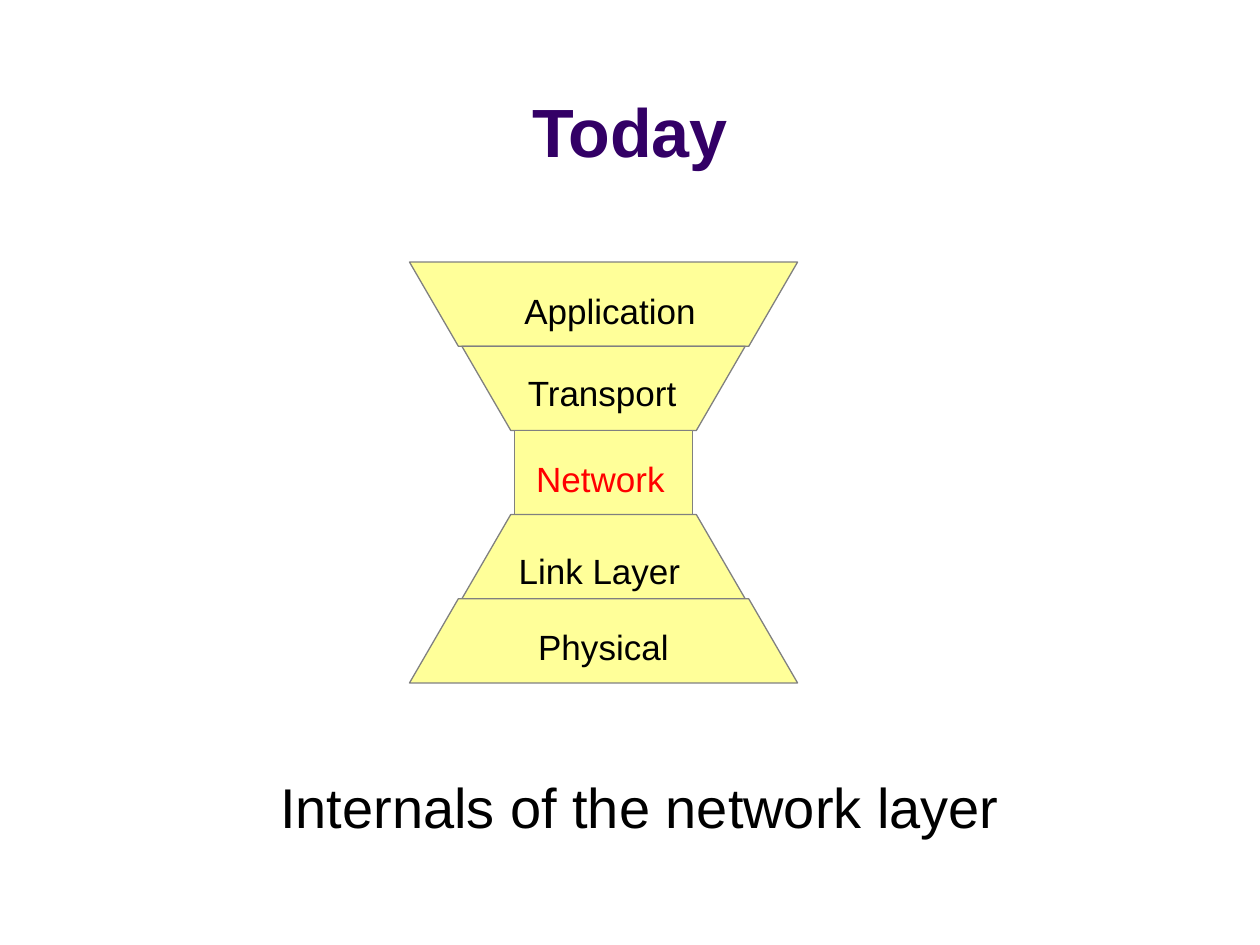
from collections import namedtuple

from pptx import Presentation
from pptx import util as u
from pptx.dml.color import RGBColor
from pptx.enum import shapes, text

PURPLE = RGBColor(0x33, 0x00, 0x66)
YELLOW = RGBColor(0xFF, 0xFF, 0x99)
GREY = RGBColor(0x80, 0x80, 0x80)
BLACK = RGBColor(0x00, 0x00, 0x00)
RED = RGBColor(0xFF, 0x00, 0x00)

TRAPEZOID = shapes.MSO_SHAPE.TRAPEZOID
RECTANGLE = shapes.MSO_SHAPE.RECTANGLE

Box = namedtuple("Box", "left top width height")
Layer = namedtuple("Layer", "name shape turn width color label_left label_top label_width")

LAYERS = [
    Layer("Application", TRAPEZOID, 180, 1, BLACK, 0.25, 0.25, 0.52),
    Layer("Transport", TRAPEZOID, 180, 0.73, BLACK, 0.25, 0.23, 0.47),
    Layer("Network", RECTANGLE, 0, 0.46, RED, 0.27, 0.25, 0.42),
    Layer("Link Layer", TRAPEZOID, 0, 0.73, BLACK, 0.23, 0.34, 0.5),
    Layer("Physical", TRAPEZOID, 0, 1, BLACK, 0.27, 0.25, 0.43),
]


def inches(box):
    return [u.Inches(length) for length in box]


def write(frame, words, align, font):
    para = frame.paragraphs[0]
    para.alignment = align
    span = para.add_run()
    span.text = words
    values = {"name": "Arial", "bold": False, **font}
    span.font.color.rgb = values.pop("color")
    for name, value in values.items():
        setattr(span.font, name, value)
    return para


def place_title(page, box, words):
    title = page.shapes.title
    for name, value in zip(box._fields, inches(box)):
        setattr(title, name, value)
    title.text_frame.vertical_anchor = text.MSO_ANCHOR.BOTTOM
    write(title.text_frame, words, text.PP_ALIGN.CENTER,
          {"size": u.Pt(39), "bold": True, "color": PURPLE})


def place_caption(page, box, words):
    caption = page.shapes.add_textbox(*inches(box))
    caption.text_frame.word_wrap = True
    para = write(caption.text_frame, words, text.PP_ALIGN.CENTER,
                 {"size": u.Pt(32), "color": BLACK})
    para.space_before = u.Pt(4)


def place_layer(group, box, layer):
    width = box.width * layer.width
    left = box.left + (box.width - width) / 2
    block = group.shapes.add_shape(
        layer.shape, *inches(Box(left, box.top, width, box.height)))
    block.shadow.inherit = False
    block.rotation = layer.turn
    if layer.shape == TRAPEZOID:
        block.adjustments[0] = 0.58
    block.fill.solid()
    block.fill.fore_color.rgb = YELLOW
    block.line.color.rgb = GREY
    block.line.width = u.Pt(0.75)


def place_label(page, box, layer):
    label = page.shapes.add_textbox(*inches(Box(
        box.left + box.width * layer.label_left,
        box.top + box.height * layer.label_top,
        box.width * layer.label_width,
        box.height * 0.66)))
    label.text_frame.word_wrap = False
    label.text_frame.auto_size = text.MSO_AUTO_SIZE.SHAPE_TO_FIT_TEXT
    write(label.text_frame, layer.name, text.PP_ALIGN.RIGHT,
          {"size": u.Pt(20), "color": layer.color})


def place_stack(page, box, layers):
    height = box.height / len(layers)
    rows = [Box(box.left, box.top + index * height, box.width, height)
            for index in range(len(layers))]
    group = page.shapes.add_group_shape()
    for row, layer in zip(rows, layers):
        place_layer(group, row, layer)
    for row, layer in zip(rows, layers):
        place_label(page, row, layer)


def main():
    deck = Presentation()
    deck.slide_width, deck.slide_height = u.Inches(10), u.Inches(7.5)
    page = deck.slides.add_slide(deck.slide_layouts[5])
    place_caption(page, Box(0.58, 6.08, 9, 0.58), "Internals of the network layer")
    place_title(page, Box(0.5, 0.13, 9, 1.28), "Today")
    place_stack(page, Box(3.25, 2.08, 3.08, 3.34), LAYERS)
    deck.save("out.pptx")


if __name__ == "__main__":
    main()
